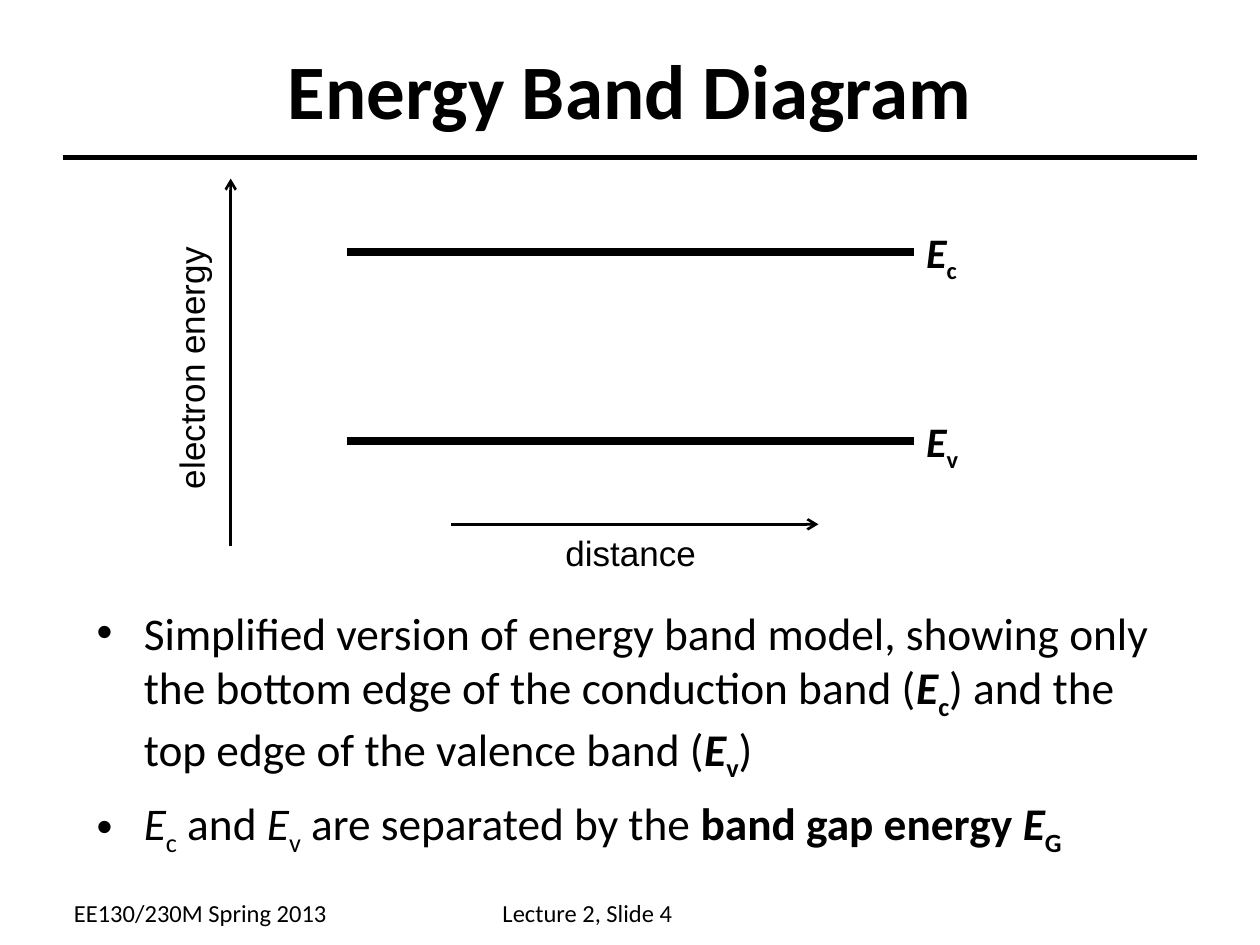
from lxml import etree
from pptx import Presentation
from pptx.dml.color import RGBColor
from pptx.enum.shapes import MSO_CONNECTOR
from pptx.enum.text import MSO_ANCHOR, MSO_AUTO_SIZE, PP_ALIGN
from pptx.oxml.ns import qn
from pptx.util import Cm, Pt

STRAIGHT = MSO_CONNECTOR.STRAIGHT
MIDDLE = MSO_ANCHOR.MIDDLE
TOP = MSO_ANCHOR.TOP
FIXED_SIZE = MSO_AUTO_SIZE.NONE
FIT_TEXT = MSO_AUTO_SIZE.SHAPE_TO_FIT_TEXT
LEFT = PP_ALIGN.LEFT
CENTER = PP_ALIGN.CENTER

BLACK = "000000"
PLAIN = {}
BOLD = {"bold": True}
ITALIC = {"italic": True}
BOLD_ITALIC = {"bold": True, "italic": True}
TITLE_FONT = {"name": "Calibri", "size": Pt(44), "bold": True}
BODY_FONT = {"name": "Calibri", "size": Pt(25.9)}
BAND_FONT = {"name": "Calibri", "size": Pt(24)}
AXIS_FONT = {"name": "Arial", "size": Pt(20)}
FOOTER_FONT = {"name": "Calibri", "size": Pt(14)}


def color(hex_value):
    return RGBColor.from_string(hex_value)


def symbol(letter, subscript, bold=True):
    return [(letter, BOLD_ITALIC if bold else ITALIC, False),
            (subscript, BOLD if bold else PLAIN, True)]


def words(text, style=PLAIN):
    return [(text, style, False)]


def fill_paragraph(paragraph, pieces, base_font):
    for text, style, is_subscript in pieces:
        run = paragraph.add_run()
        run.text = text
        for attribute, value in {**base_font, **style}.items():
            setattr(run.font, attribute, value)
        run.font.color.rgb = color(BLACK)
        if is_subscript:
            run._r.get_or_add_rPr().set("baseline", "-25000")


def add_text(slide, box, pieces, font, wrap=False, anchor=TOP, align=LEFT):
    shape = slide.shapes.add_textbox(*map(Cm, box))
    frame = shape.text_frame
    frame.word_wrap = wrap
    frame.auto_size = FIXED_SIZE if wrap else FIT_TEXT
    frame.vertical_anchor = anchor
    paragraph = frame.paragraphs[0]
    paragraph.alignment = align
    fill_paragraph(paragraph, pieces, font)
    return shape


def add_line(slide, start, end, width, arrow=False):
    connector = slide.shapes.add_connector(STRAIGHT, *map(Cm, start + end))
    connector.line.color.rgb = color(BLACK)
    connector.line.width = Pt(width)
    properties = connector._element.spPr
    if arrow:
        line = properties.find(qn("a:ln"))
        etree.SubElement(line, qn("a:tailEnd"), type="arrow")
    etree.SubElement(properties, qn("a:effectLst"))


def add_title(slide, box):
    left, top, width, height = box
    rule_top = top + height - 0.2
    add_line(slide, (left, rule_top), (left + width, rule_top), 3)
    add_text(slide, box, words("Energy Band Diagram"), TITLE_FONT,
             wrap=True, anchor=MIDDLE, align=CENTER)


def add_band_diagram(slide, box):
    left, top, width, height = box
    band_left = left + 3.69
    band_right = band_left + 11.43
    for index, subscript in enumerate("cv"):
        band_top = top + 1.48 + index * 3.81
        add_line(slide, (band_left, band_top), (band_right, band_top), 4.5)
        add_text(slide, (band_right, band_top - 0.63, 1.2, 1.42),
                 symbol("E", subscript), BAND_FONT)

    axis_left = left + 1.35
    axis_length = 7.4
    add_line(slide, (axis_left, top + axis_length), (axis_left, top), 1.5, arrow=True)
    energy_label = add_text(slide, (left - 2.13, top + 3.26, 5.38, 1.12),
                            words("electron energy"), AXIS_FONT)
    energy_label.rotation = 270

    distance_left = left + 5.8
    distance_top = top + height - 1.14
    add_line(slide, (distance_left, distance_top),
             (distance_left + axis_length, distance_top), 1.5, arrow=True)
    add_text(slide, (distance_left + 2.05, distance_top + 0.02, 3.2, 1.12),
             words("distance"), AXIS_FONT)


def add_bullets(slide, box, bullets):
    frame = slide.shapes.add_textbox(*map(Cm, box)).text_frame
    frame.word_wrap = True
    for index, pieces in enumerate(bullets):
        paragraph = frame.paragraphs[0] if index == 0 else frame.add_paragraph()
        properties = paragraph._p.get_or_add_pPr()
        properties.set("marL", str(Cm(0.95)))
        properties.set("indent", str(-Cm(0.95)))
        etree.SubElement(properties, qn("a:buFont"), typeface="Arial")
        etree.SubElement(properties, qn("a:buChar"), char="•")
        if index:
            paragraph.space_before = Pt(7)
        fill_paragraph(paragraph, pieces, BODY_FONT)


def add_footer(slide, box, texts):
    left, top, width, height = box
    column_step = width * 0.6
    for index, text in enumerate(texts):
        add_text(slide, (left + index * column_step, top, width - column_step, height),
                 words(text), FOOTER_FONT, wrap=True)


def main():
    presentation = Presentation()
    presentation.slide_width = Cm(25.4)
    presentation.slide_height = Cm(19.05)
    slide = presentation.slides.add_slide(presentation.slide_layouts[6])

    bullets = [
        words("Simplified version of energy band model, showing only the bottom edge "
              "of the conduction band (")
        + symbol("E", "c")
        + words(") and the top edge of the valence band (")
        + symbol("E", "v")
        + words(")"),
        symbol("E", "c", bold=False)
        + words(" and ")
        + symbol("E", "v", bold=False)
        + words(" are separated by the ")
        + words("band gap energy ", BOLD)
        + symbol("E", "G"),
    ]

    add_title(slide, (1.27, 0.2, 22.86, 3.18))
    add_band_diagram(slide, (3.3, 3.6, 16.25, 8.11))
    add_bullets(slide, (1.7, 12.07, 22.23, 5.5), bullets)
    add_footer(slide, (1.24, 17.98, 14.4, 0.86),
               ["EE130/230M Spring 2013", "Lecture 2, Slide 4"])
    presentation.save("out.pptx")


if __name__ == "__main__":
    main()
